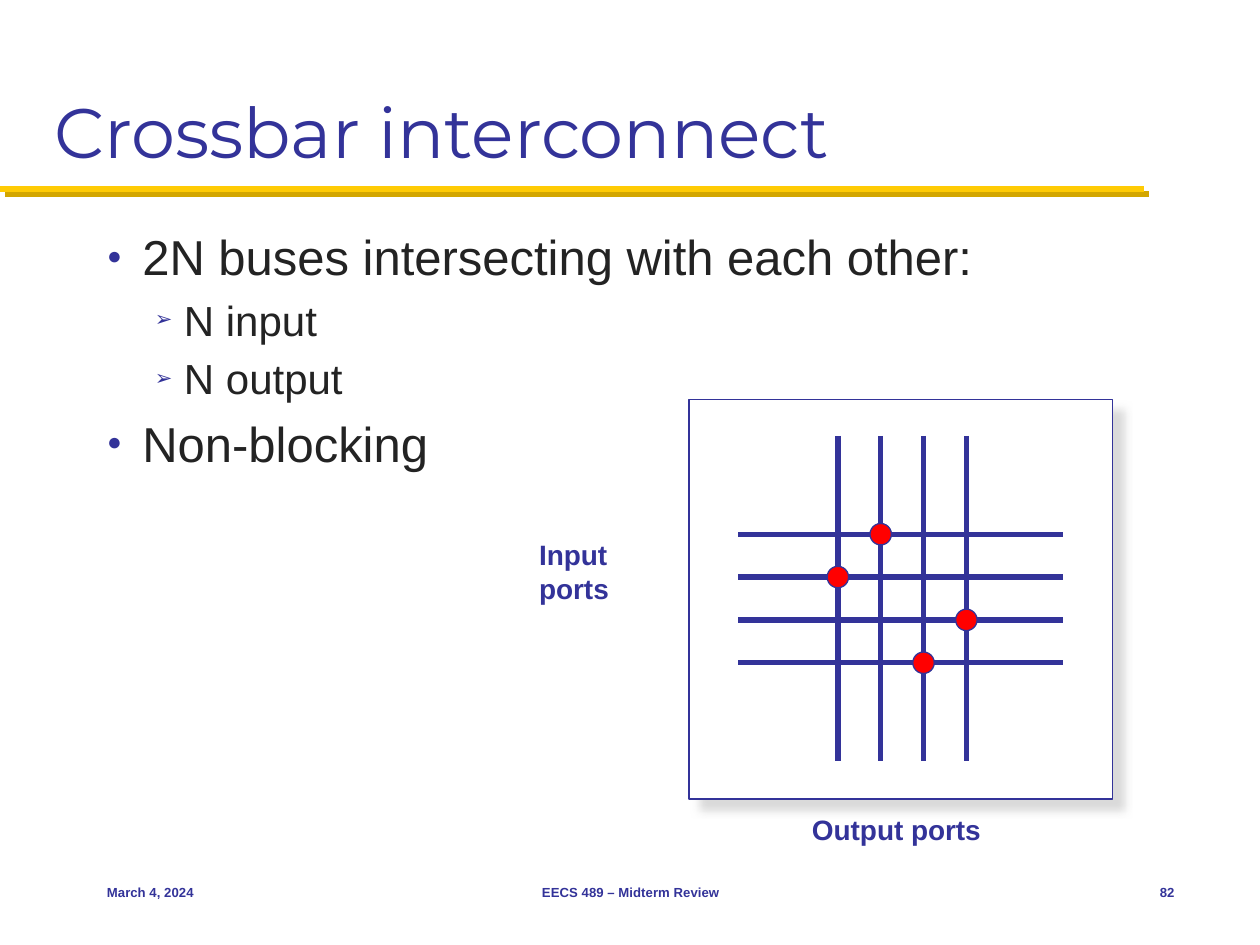
from dataclasses import dataclass

from lxml.etree import SubElement
from pptx import Presentation
from pptx.dml.color import RGBColor
from pptx.enum.shapes import MSO_CONNECTOR, MSO_SHAPE
from pptx.enum.text import MSO_ANCHOR, MSO_AUTO_SIZE, PP_ALIGN
from pptx.oxml import parse_xml
from pptx.oxml.ns import nsdecls, qn
from pptx.util import Inches, Pt


@dataclass(frozen=True)
class Theme:
    navy: RGBColor = RGBColor.from_string("333399")
    ink: RGBColor = RGBColor.from_string("232323")
    gold: RGBColor = RGBColor.from_string("FFCB05")
    red: RGBColor = RGBColor.from_string("FF0000")
    white: RGBColor = RGBColor.from_string("FFFFFF")
    gold_shadow: str = "D3A600"
    grey_shadow: str = "CECECE"
    heading: str = "Montserrat"
    sans: str = "Arial"
    title: float = 40
    body: tuple = (28, 24)
    label: float = 16
    footer: float = 7.5


theme = Theme()


def write(p, text, size, color=theme.navy, font=theme.sans, bold=False, align=PP_ALIGN.LEFT):
    p.alignment = align
    for i, part in enumerate(text.split("\n")):
        if i:
            p.add_line_break()
        r = p.add_run()
        r.text = part
        r.font.size = Pt(size)
        r.font.name = font
        r.font.bold = bold
        r.font.color.rgb = color


def line(s, x1, y1, x2, y2, color, width):
    c = s.shapes.add_connector(
        MSO_CONNECTOR.STRAIGHT, Inches(x1), Inches(y1), Inches(x2), Inches(y2))
    c.line.color.rgb = color
    c.line.width = Pt(width)
    return SubElement(c.element.spPr, qn("a:effectLst"))


prs = Presentation()
prs.slide_width = Inches(10)
prs.slide_height = Inches(7.5)
s = prs.slides.add_slide(prs.slide_layouts[1])

SHADOW = ('<a:outerShdw {} blurRad="{}" dist="{}" dir="2700000" algn="ctr" rotWithShape="0">'
          '<a:srgbClr val="{}"><a:alpha val="{}"/></a:srgbClr></a:outerShdw>')

effects = line(s, 0, 1.5, 9.08, 1.5, theme.gold, 3.5)
effects.append(parse_xml(SHADOW.format(
    nsdecls("a"), 0, Pt(4.2), theme.gold_shadow, 100000)))

title = s.shapes.title
title.left, title.top = Inches(0.33), Inches(0.17)
title.width, title.height = Inches(9.33), Inches(1.25)
tf = title.text_frame
tf.auto_size = MSO_AUTO_SIZE.NONE
tf.vertical_anchor = MSO_ANCHOR.BOTTOM
write(tf.paragraphs[0], "Crossbar interconnect", theme.title, font=theme.heading)

body = s.placeholders[1]
body.left, body.top = Inches(0.75), Inches(1.75)
body.width, body.height = Inches(8.67), Inches(4.83)
tf = body.text_frame
tf.auto_size = MSO_AUTO_SIZE.NONE
bullets = [(0.28, 0.28, "●"), (0.61, 0.23, "➢")]
items = [
    ("2N buses intersecting with each other:", 0),
    ("N input", 1),
    ("N output", 1),
    ("Non-blocking", 0),
]
for i, (text, level) in enumerate(items):
    p = tf.add_paragraph() if i else tf.paragraphs[0]
    margin, hang, char = bullets[level]
    p.level = level
    p.space_before = Pt(0.2 * theme.body[level] if i else 0)
    pPr = p._p.get_or_add_pPr()
    pPr.set("marL", str(Inches(margin)))
    pPr.set("indent", str(-Inches(hang)))
    SubElement(SubElement(pPr, qn("a:buClr")), qn("a:srgbClr")).set("val", str(theme.navy))
    SubElement(pPr, qn("a:buSzPct")).set("val", "50000")
    SubElement(pPr, qn("a:buFont")).set("typeface", theme.sans)
    SubElement(pPr, qn("a:buChar")).set("char", char)
    write(p, text, theme.body[level], color=theme.ink)

frame = s.shapes.add_shape(
    MSO_SHAPE.RECTANGLE, Inches(5.47), Inches(3.17), Inches(3.36), Inches(3.17))
frame.fill.solid()
frame.fill.fore_color.rgb = theme.white
frame.line.color.rgb = theme.navy
frame.line.width = Pt(1)
frame.shadow.inherit = False
frame.element.spPr.find(qn("a:effectLst")).append(parse_xml(SHADOW.format(
    nsdecls("a"), Pt(5), Pt(8.5), theme.grey_shadow, 75000)))

pitch = 0.34
columns = [6.65 + pitch * i for i in range(4)]
rows = [4.24 + pitch * i for i in range(4)]
for x in columns:
    line(s, x, 3.46, x, 6.04, theme.navy, 3)
for y in rows:
    line(s, 5.86, y, 8.44, y, theme.navy, 3)

dot = 0.17
for row, column in enumerate([1, 0, 3, 2]):
    sp = s.shapes.add_shape(
        MSO_SHAPE.OVAL, Inches(columns[column] - dot / 2), Inches(rows[row] - dot / 2),
        Inches(dot), Inches(dot))
    sp.fill.solid()
    sp.fill.fore_color.rgb = theme.red
    sp.line.color.rgb = theme.navy
    sp.line.width = Pt(0.75)
    sp.shadow.inherit = False

top, middle = MSO_ANCHOR.TOP, MSO_ANCHOR.MIDDLE
labels = [
    ("Input\nports", 4.18, 4.22, 1.21, 1.11, theme.label, PP_ALIGN.LEFT, top),
    ("Output ports", 5.59, 6.4, 3.05, 0.44, theme.label, PP_ALIGN.CENTER, top),
    ("March 4, 2024", 0.75, 6.83, 2.08, 0.5, theme.footer, PP_ALIGN.LEFT, middle),
    ("EECS 489 – Midterm Review", 3.42, 6.83, 3.17, 0.5, theme.footer, PP_ALIGN.CENTER, middle),
    ("82", 8.75, 6.83, 0.67, 0.5, theme.footer, PP_ALIGN.RIGHT, middle),
]
for text, x, y, w, h, size, align, anchor in labels:
    tf = s.shapes.add_textbox(Inches(x), Inches(y), Inches(w), Inches(h)).text_frame
    tf.word_wrap = True
    tf.vertical_anchor = anchor
    write(tf.paragraphs[0], text, size, bold=True, align=align)

prs.save("out.pptx")
